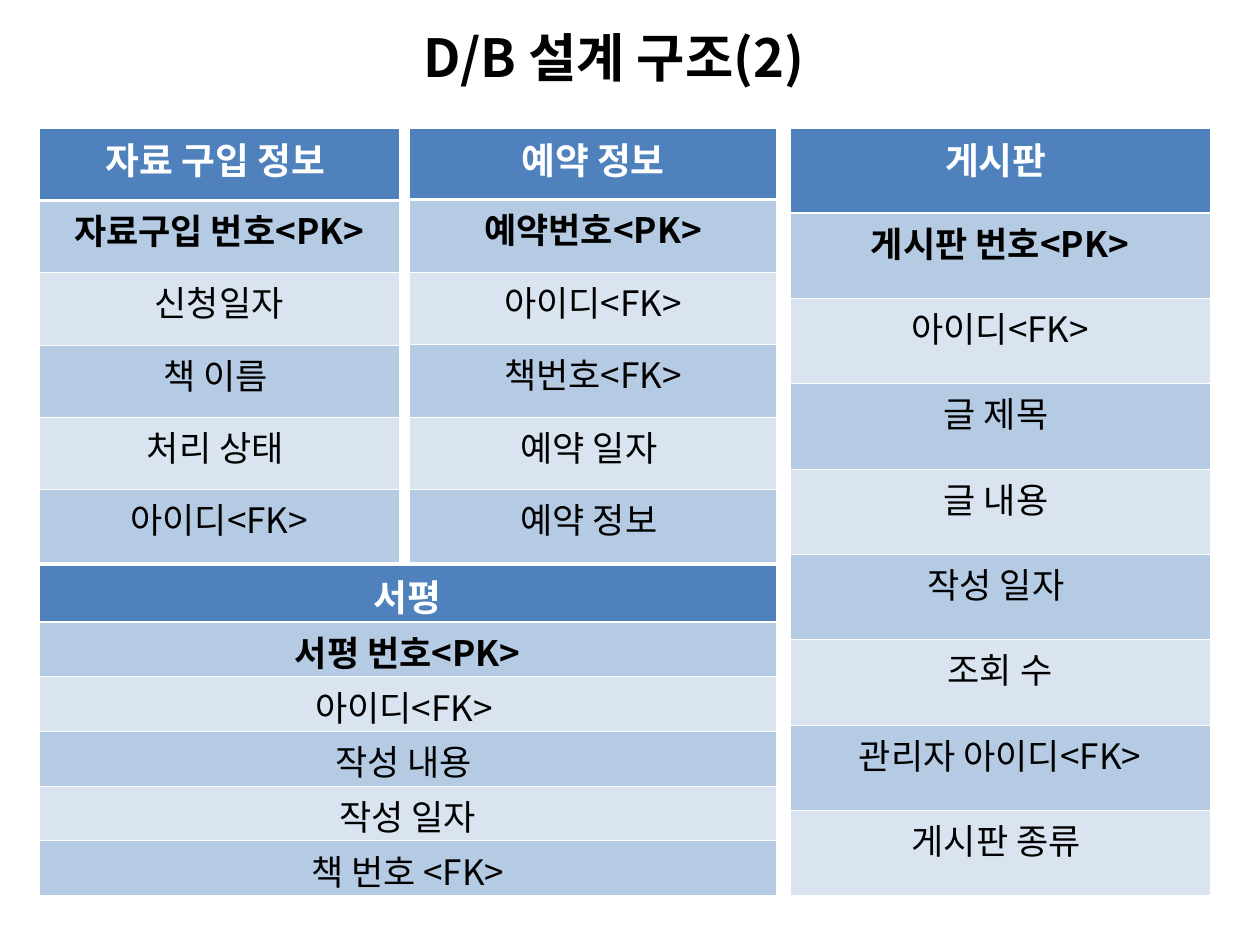
"""Build the slide that lists the database tables and their fields."""
import pptx
import pptx.dml.color
import pptx.enum.text
import pptx.oxml.ns
import pptx.util
from lxml import etree

Cm = pptx.util.Cm
Pt = pptx.util.Pt
qn = pptx.oxml.ns.qn
FONT = "Noto Sans CJK KR"
HUES = {"head": "4F81BD", "odd": "B5CAE3", "even": "DAE4F1", "white": "FFFFFF", "black": "000000"}
PAD = {"margin_left": Cm(0.25), "margin_right": Cm(0.25), "margin_top": Cm(0.07), "margin_bottom": 0}


def write(frame, text, size, hue, bold):
    para = frame.paragraphs[0]
    para.alignment = pptx.enum.text.PP_ALIGN.CENTER
    run = para.add_run()
    run.text = text
    form = {"name": FONT, "size": Pt(size), "bold": bold}
    for key, value in form.items():
        setattr(run.font, key, value)
    run.font.color.rgb = pptx.dml.color.RGBColor.from_string(HUES[hue])
    etree.SubElement(run.font._element, qn("a:ea"), typeface=FONT)


def edge(cell, side, width):
    props = cell._tc.get_or_add_tcPr()
    line = etree.Element(qn(f"a:ln{side}"), w=str(Pt(width)))
    fill = etree.SubElement(line, qn("a:solidFill"))
    etree.SubElement(fill, qn("a:srgbClr"), val=HUES["white"])
    props.append(line)


deck = pptx.Presentation()
deck.slide_width, deck.slide_height = Cm(25.4), Cm(19.05)
slide = deck.slides.add_slide(deck.slide_layouts[5])

title = slide.shapes.title
place = {"left": Cm(6.68), "top": Cm(0.38), "width": Cm(11.4), "height": Cm(1.52)}
for key, value in place.items():
    setattr(title, key, value)
style = {
    "word_wrap": True,
    "auto_size": pptx.enum.text.MSO_AUTO_SIZE.NONE,
    "vertical_anchor": pptx.enum.text.MSO_ANCHOR.MIDDLE,
}
for key, value in style.items():
    setattr(title.text_frame, key, value)
write(title.text_frame, "D/B 설계 구조(2)", 30, "black", True)

tables = [
    (8.26, 2.59, 7.39, 8.74, 1.43,
     ["예약 정보", "예약번호<PK>", "아이디<FK>", "책번호<FK>", "예약 일자 ", "예약 정보 "]),
    (0.79, 2.59, 7.26, 8.74, 1.45,
     ["자료 구입 정보 ", "자료구입 번호<PK>", "신청일자", "책 이름 ", "처리 상태 ", "아이디<FK>"]),
    (15.93, 2.59, 8.46, 15.47, 1.7,
     ["게시판 ", "게시판 번호<PK>", "아이디<FK>", "글 제목 ", "글 내용 ", "작성 일자 ",
      "조회 수", "관리자 아이디<FK>", "게시판 종류 "]),
    (0.79, 11.4, 14.86, 6.65, 1.14,
     ["서평", "서평 번호<PK>", "아이디<FK> ", "작성 내용 ", "작성 일자", "책 번호 <FK>"]),
]

for left, top, width, height, head, names in tables:
    count = len(names)
    grid = slide.shapes.add_table(count, 1, Cm(left), Cm(top), Cm(width), Cm(height)).table
    grid.horz_banding = False
    for row, name in enumerate(names):
        grid.rows[row].height = Cm(head if row == 0 else (height - head) / (count - 1))
        cell = grid.cell(row, 0)
        for key, value in PAD.items():
            setattr(cell, key, value)
        hue = "head" if row == 0 else "odd" if row % 2 else "even"
        for side in "LRTB":
            thick = (row, side) in [(0, "B"), (1, "T")]
            edge(cell, side, 1.47 if thick else 0.45)
        cell.fill.solid()
        cell.fill.fore_color.rgb = pptx.dml.color.RGBColor.from_string(HUES[hue])
        write(cell.text_frame, name, 20 if row else 21, "black" if row else "white", row < 2)
        para = cell.text_frame.paragraphs[0]._p.get_or_add_pPr()
        para.set("marL", str(Cm(0.95)))
        para.set("indent", str(-Cm(0.95)))

deck.save("out.pptx")
